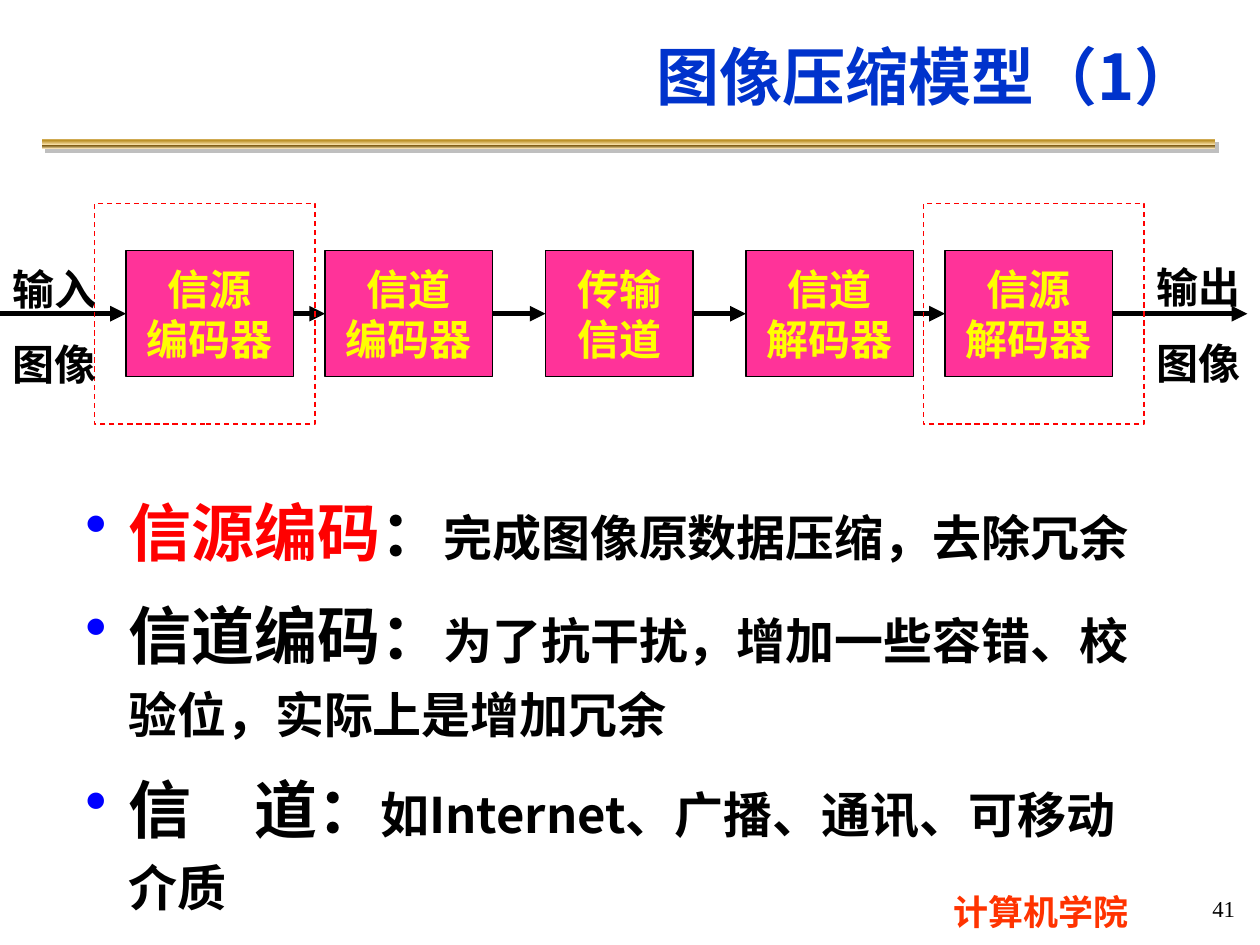
from lxml.etree import SubElement
from pptx import Presentation
from pptx.dml.color import RGBColor
from pptx.enum.dml import MSO_LINE
from pptx.enum.shapes import MSO_CONNECTOR, MSO_SHAPE
from pptx.enum.text import MSO_ANCHOR, PP_ALIGN
from pptx.oxml import parse_xml
from pptx.oxml.ns import nsdecls, qn
from pptx.util import Inches, Pt

SANS = "Noto Sans CJK SC"
SERIF = "Times New Roman"
GOLD = [(0, "FBE4AE"), (13, "BD922A"), (21, "BD922A"), (63, "FBE4AE"),
        (67, "BD922A"), (69, "835E17"), (82, "A28949"), (100, "FAE3B7")]
STAGES = [(1, 1.33, "信源", "编码器"), (2.58, 1.33, "信道", "编码器"),
          (4.33, 1.17, "传输", "信道"), (5.92, 1.33, "信道", "解码器"),
          (7.5, 1.33, "信源", "解码器")]
POINTS = [
    [("信源编码", 36, "FF0000"), ("：", 36, "000000"),
     ("完成图像原数据压缩，去除冗余", 28, "000000")],
    [("信道编码：", 36, "000000"),
     ("为了抗干扰，增加一些容错、校验位，实际上是增加冗余", 28, "000000")],
    [("信　道：", 36, "000000"),
     ("如Internet、广播、通讯、可移动介质", 28, "000000")],
]


def color(code):
    return RGBColor.from_string(code)


def style(font, size, code, name, bold=True):
    font.size = Pt(size)
    font.color.rgb = color(code)
    font.name = name
    font.bold = bold


def write(frame, lines, size, code, name, align, bold=True, space=None):
    frame.word_wrap = True
    for i, line in enumerate(lines):
        para = frame.paragraphs[0] if i == 0 else frame.add_paragraph()
        para.text = line
        para.alignment = align
        para.line_spacing = space
        style(para.font, size, code, name, bold)


def label(slide, box, text, size, code, name, align,
          anchor=MSO_ANCHOR.TOP, bold=True, space=None):
    frame = slide.shapes.add_textbox(*map(Inches, box)).text_frame
    frame.vertical_anchor = anchor
    write(frame, [text], size, code, name, align, bold, space)


def block(slide, box):
    shape = slide.shapes.add_shape(MSO_SHAPE.RECTANGLE, *map(Inches, box))
    shape.shadow.inherit = False
    return shape


def rule(slide, box):
    bar = block(slide, box)
    bar.line.fill.background()
    stops = "".join(f'<a:gs pos="{pos * 1000}"><a:srgbClr val="{code}"/></a:gs>'
                    for pos, code in GOLD)
    fill = parse_xml(f'<a:gradFill {nsdecls("a")}><a:gsLst>{stops}</a:gsLst>'
                     '<a:lin ang="5400000" scaled="0"/></a:gradFill>')
    props = bar._element.spPr
    props.find(qn("a:prstGeom")).addnext(fill)
    cast = SubElement(props.find(qn("a:effectLst")), qn("a:outerShdw"),
                      dist=str(Pt(2.8)), dir="2700000", algn="ctr")
    tint = SubElement(cast, qn("a:srgbClr"), val="808080")
    SubElement(tint, qn("a:alpha"), val="50000")


def stage(slide, box, lines):
    shape = block(slide, box)
    shape.fill.solid()
    shape.fill.fore_color.rgb = color("FF3399")
    shape.line.color.rgb = color("000000")
    shape.line.width = Pt(0.75)
    shape.text_frame.vertical_anchor = MSO_ANCHOR.MIDDLE
    write(shape.text_frame, lines, 24, "FFFF00", SERIF, PP_ALIGN.CENTER)
    return shape


def arrow(slide, start, end, y, left=None, right=None):
    line = slide.shapes.add_connector(
        MSO_CONNECTOR.STRAIGHT, Inches(start), Inches(y), Inches(end), Inches(y))
    if left is not None:
        line.begin_connect(left, 3)
    if right is not None:
        line.end_connect(right, 1)
    line.line.color.rgb = color("000000")
    line.line.width = Pt(3)
    SubElement(line.line._get_or_add_ln(), qn("a:tailEnd"), type="triangle")
    SubElement(line._element.spPr, qn("a:effectLst"))


def frame(slide, box):
    shape = block(slide, box)
    shape.fill.background()
    shape.line.color.rgb = color("FF0000")
    shape.line.width = Pt(0.75)
    shape.line.dash_style = MSO_LINE.DASH


def flow(slide, box):
    left, top, width, high = box
    mid = top + high / 2
    nodes = [stage(slide, (x, mid - 0.5, wide, 1), lines)
             for x, wide, *lines in STAGES]
    ends = [0] + [x + wide for x, wide, *_ in STAGES]
    starts = [x for x, *_ in STAGES] + [left + width]
    for start, end, prev, node in zip(ends, starts, [None] + nodes, nodes + [None]):
        arrow(slide, start, end, mid, prev, node)
    for x in (0.75, 7.33):
        frame(slide, (x, top, high, high))
    for x, y, text in ((0, 1.84, "输入图像"), (9.08, 1.83, "输出图像")):
        label(slide, (x, y, 1, 1.24), text, 24, "000000", SERIF,
              PP_ALIGN.LEFT, space=1.5)


def bullet(para):
    props = para._p.get_or_add_pPr()
    props.set("marL", str(Inches(0.34)))
    props.set("indent", str(Inches(-0.34)))
    tint = SubElement(props, qn("a:buClr"))
    SubElement(tint, qn("a:srgbClr"), val="0000FF")
    SubElement(props, qn("a:buChar"), char="•")
    tabs = SubElement(props, qn("a:tabLst"))
    SubElement(tabs, qn("a:tab"), pos=str(Inches(2.25)), algn="l")


def points(slide, box):
    body = slide.shapes.add_textbox(*map(Inches, box)).text_frame
    body.word_wrap = True
    for i, parts in enumerate(POINTS):
        para = body.paragraphs[0] if i == 0 else body.add_paragraph()
        bullet(para)
        para.line_spacing = 1.2
        para.space_before = Pt(7 if i else 0)
        para.font.name = SANS
        para.font.bold = True
        for text, size, code in parts:
            run = para.add_run()
            run.text = text
            run.font.size = Pt(size)
            run.font.color.rgb = color(code)


def header(slide, box):
    label(slide, box, "图像压缩模型（1）", 36, "0033CC", SANS,
          PP_ALIGN.RIGHT, MSO_ANCHOR.MIDDLE)


def footer(slide, box):
    left, top, width, high = box
    label(slide, (left, top, 2.75, high), "计算机学院", 20, "FF3300", SANS,
          PP_ALIGN.CENTER)
    label(slide, (left + width - 1.91, top, 1.91, 0.38), "41", 13, "000000",
          SERIF, PP_ALIGN.RIGHT, MSO_ANCHOR.MIDDLE, False)


def main():
    deck = Presentation()
    deck.slide_width = Inches(10)
    deck.slide_height = Inches(7.5)
    slide = deck.slides.add_slide(deck.slide_layouts[6])
    rule(slide, (0.33, 1.1, 9.31, 0.08))
    header(slide, (1.06, 0.12, 8.54, 0.95))
    points(slide, (0.58, 3.75, 8.75, 2.83))
    flow(slide, (0, 1.615, 9.9, 1.75))
    footer(slide, (6.89, 7.02, 3.01, 0.43))
    deck.save("out.pptx")


if __name__ == "__main__":
    main()
